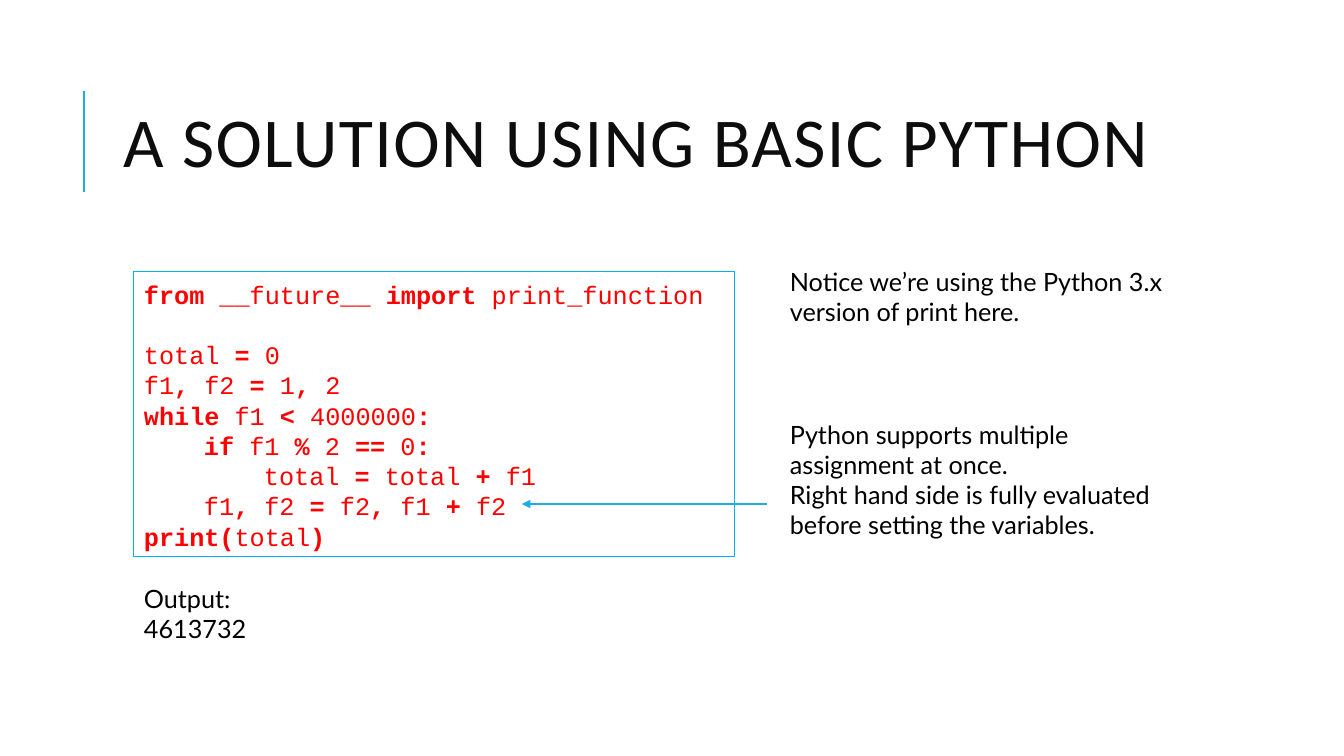
import dataclasses

import pptx
import pptx.dml.color
import pptx.enum.shapes
import pptx.enum.text
import pptx.oxml.ns
import pptx.util
from lxml import etree


@dataclasses.dataclass(frozen=True)
class Theme:
    """Colours, fonts and type sizes of the slide."""
    ink: str = "000000"
    heading: str = "0D0D0D"
    code: str = "FF0000"
    accent: str = "1CADE4"
    frame: str = "00B0F0"
    title_font: str = "Calibri"
    body_font: str = "Lato"
    code_font: str = "Courier New"
    title_size: float = 50
    body_size: float = 18
    code_pitch: float = 21.6


THEME = Theme()
PIXEL = 914400 / 100.8
INDENT = 60
CODE = [
    (0, "*from* __future__ *import* print_function"),
    (0, "total *=* 0"),
    (0, "f1*,* f2 *=* 1*,* 2"),
    (0, "*while* f1 *<* 4000000*:*"),
    (1, "*if* f1 *%* 2 *==* 0*:*"),
    (2, "total *=* total *+* f1"),
    (1, "f1*,* f2 *=* f2*,* f1 *+* f2"),
    (0, "*print(*total*)*"),
]


def px(length):
    """Turn pixels into EMU."""
    return pptx.util.Emu(round(length * PIXEL))


def rgb(code):
    """Turn a hex code into a colour."""
    return pptx.dml.color.RGBColor.from_string(code)


def write(para, text, font=THEME.body_font, size=THEME.body_size, color=THEME.ink, spacing=0):
    """Fill a paragraph with text whose starred spans are bold."""
    para.alignment = pptx.enum.text.PP_ALIGN.LEFT
    for index, part in enumerate(text.split("*")):
        if not part:
            continue
        span = para.add_run()
        span.text = part
        span.font.name = font
        span.font.size = pptx.util.Pt(size)
        span.font.bold = index % 2 == 1
        span.font.color.rgb = rgb(color)
        if spacing:
            span.font._element.set("spc", str(spacing))


def add_line(page, start, end, width, arrow=False):
    """Draw an accent line, with an arrowhead at its end on request."""
    line = page.shapes.add_connector(
        pptx.enum.shapes.MSO_CONNECTOR.STRAIGHT, *map(px, start + end))
    line.line.color.rgb = rgb(THEME.accent)
    line.line.width = pptx.util.Pt(width)
    if arrow:
        etree.SubElement(line.line._get_or_add_ln(),
                         pptx.oxml.ns.qn("a:tailEnd"), type="triangle")
    etree.SubElement(line._element.spPr, pptx.oxml.ns.qn("a:effectLst"))


def add_title(page, text, box):
    """Place the title and the rule to its left."""
    left, top, width, height = box
    add_line(page, (left - 29, top + 127), (left - 29, top + 26), 1.5)
    title = page.shapes.title
    title.left, title.top, title.width, title.height = map(px, box)
    frame = title.text_frame
    frame.word_wrap = True
    frame.auto_size = pptx.enum.text.MSO_AUTO_SIZE.NONE
    frame.vertical_anchor = pptx.enum.text.MSO_ANCHOR.MIDDLE
    para = frame.paragraphs[0]
    para.line_spacing = 0.8
    write(para, text, font=THEME.title_font, size=THEME.title_size,
          color=THEME.heading, spacing=100)


def add_code(page, lines, box):
    """Place the framed listing, with a gap after its import line."""
    panel = page.shapes.add_shape(
        pptx.enum.shapes.MSO_SHAPE.RECTANGLE, *map(px, box))
    panel.shadow.inherit = False
    panel.fill.background()
    panel.line.color.rgb = rgb(THEME.frame)
    panel.line.width = pptx.util.Pt(0.75)
    frame = panel.text_frame
    frame.word_wrap = True
    frame.vertical_anchor = pptx.enum.text.MSO_ANCHOR.TOP
    frame.margin_top = px(7)
    for index, (level, text) in enumerate(lines):
        para = frame.add_paragraph() if index else frame.paragraphs[0]
        para.line_spacing = pptx.util.Pt(THEME.code_pitch)
        if index == 1:
            para.space_before = pptx.util.Pt(THEME.code_pitch)
        write(para, text, font=THEME.code_font, color=THEME.code)
        para._p.get_or_add_pPr().set("marL", str(px(level * INDENT)))


def add_note(page, lines, box):
    """Place a plain note, one paragraph a line."""
    frame = page.shapes.add_textbox(*map(px, box)).text_frame
    frame.word_wrap = True
    for index, text in enumerate(lines):
        write(frame.add_paragraph() if index else frame.paragraphs[0], text)


def build_solution(page, box):
    """Lay out the title, listing, notes, arrow and output."""
    left, top, width, height = box
    add_title(page, "A SOLUTION USING BASIC PYTHON", (left + 113, top + 65, 1072, 165))
    add_code(page, CODE, (left + 134, top + 272, 601, 285))
    add_note(page, ["Notice we’re using the Python 3.x", "version of print here."],
             (left + 780, top + 261, width - 892, 72))
    add_note(page, ["Python supports multiple", "assignment at once.",
                    "Right hand side is fully evaluated",
                    "before setting the variables."],
             (left + 780, top + 414, 404, 132))
    add_line(page, (left + 767, top + 504), (left + 522, top + 504), 0.75, arrow=True)
    add_note(page, ["Output:", "4613732"], (left + 134, top + 578, 208, 72))


deck = pptx.Presentation()
deck.slide_width, deck.slide_height = px(1344), px(756)
page = deck.slides.add_slide(deck.slide_layouts[5])
build_solution(page, (0, 0, 1344, 756))
deck.save("out.pptx")
